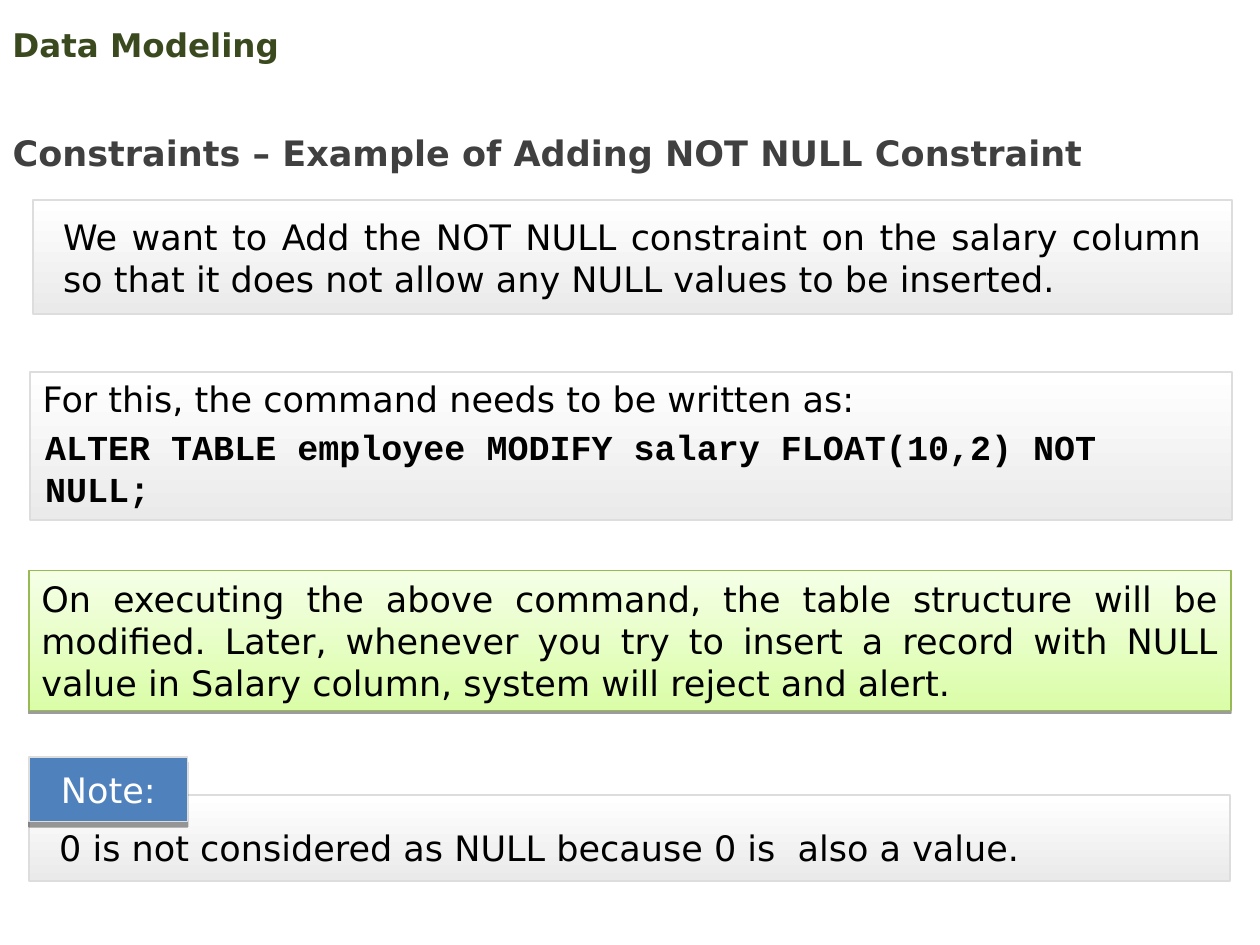
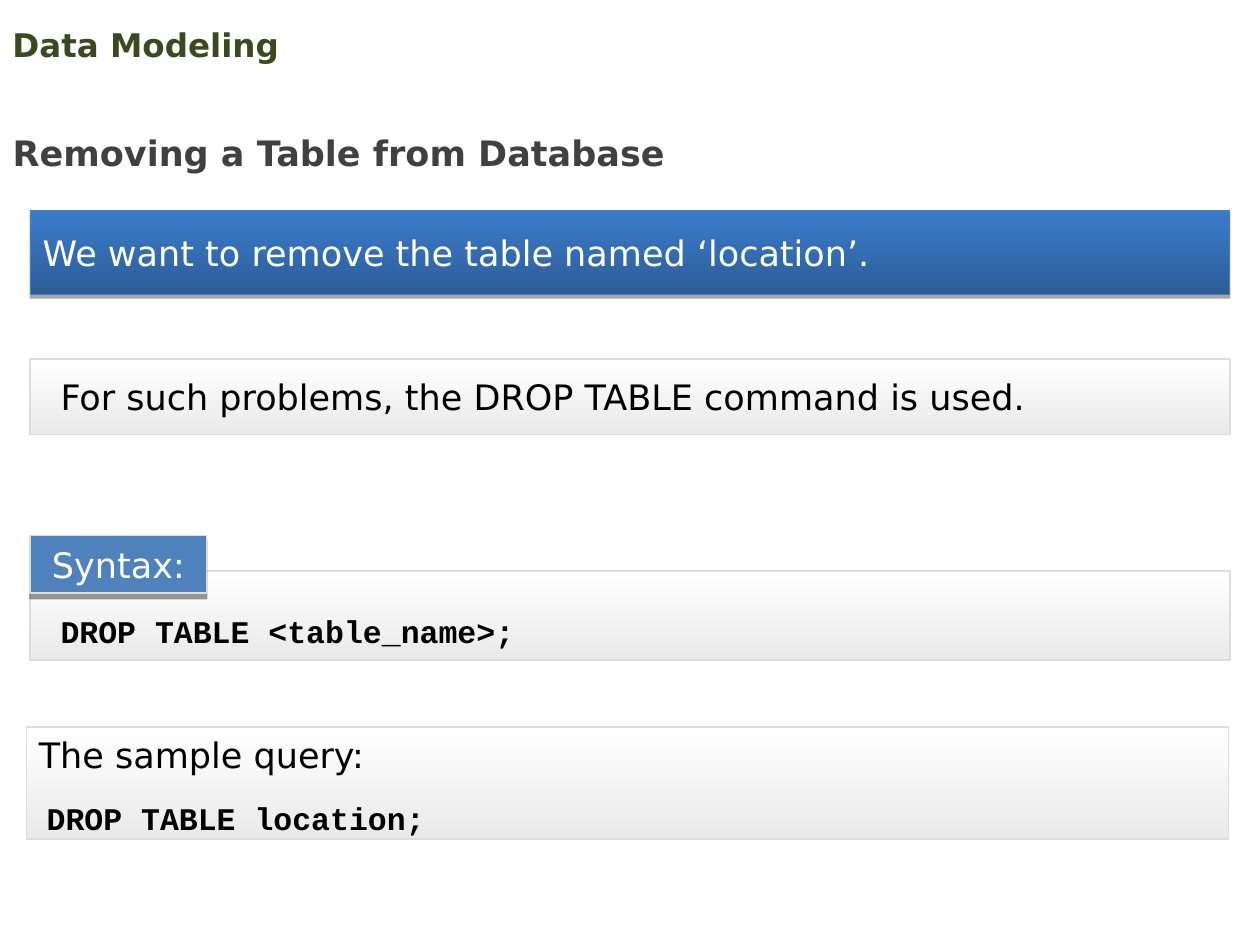
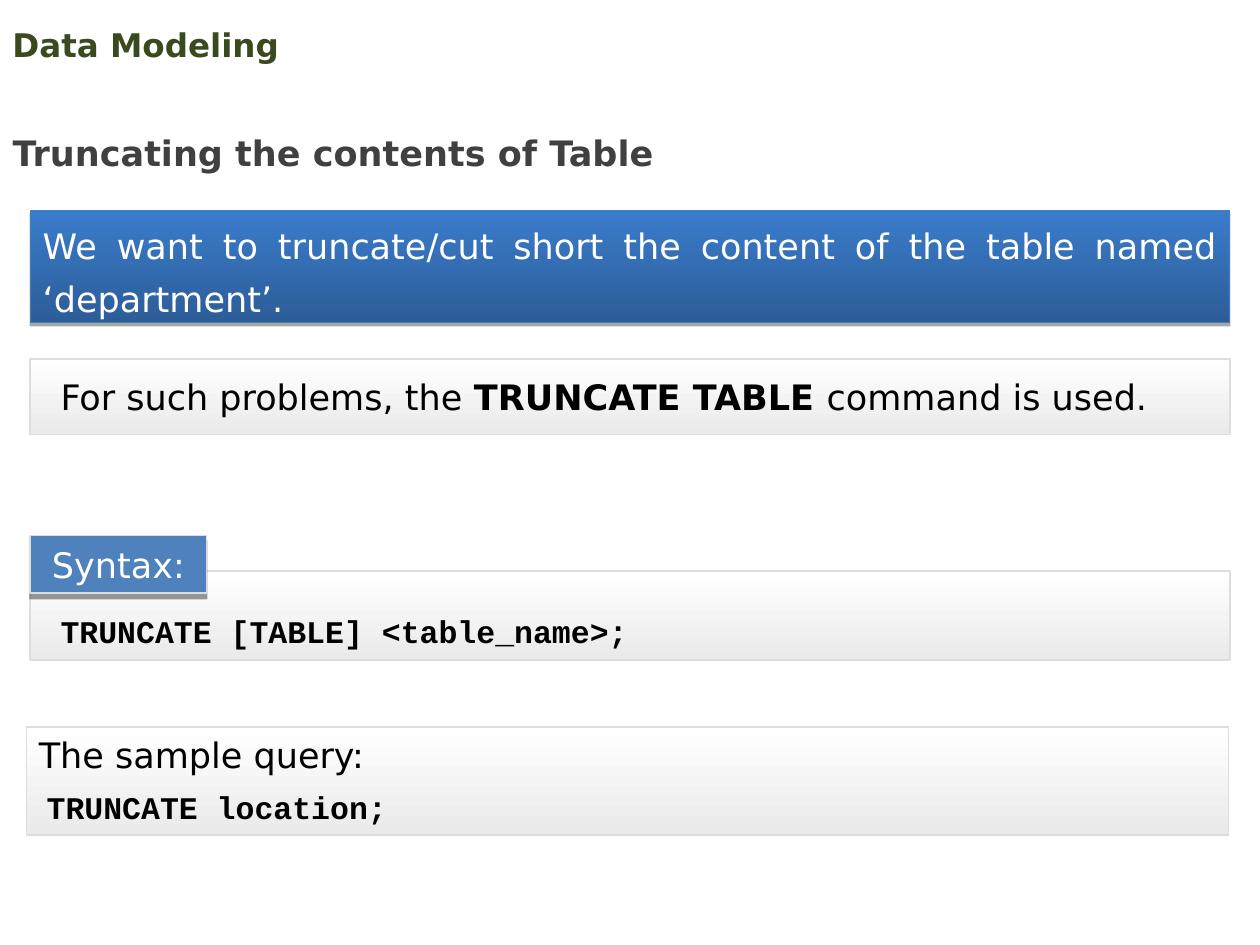
from lxml import etree
from pptx import Presentation
from pptx.dml.color import RGBColor
from pptx.enum.shapes import MSO_SHAPE
from pptx.enum.text import MSO_ANCHOR, MSO_AUTO_SIZE, PP_ALIGN
from pptx.oxml.ns import qn
from pptx.util import Inches, Pt

RECTANGLE = MSO_SHAPE.RECTANGLE
TOP, MIDDLE, BOTTOM = MSO_ANCHOR.TOP, MSO_ANCHOR.MIDDLE, MSO_ANCHOR.BOTTOM
LEFT, CENTER, JUSTIFY = PP_ALIGN.LEFT, PP_ALIGN.CENTER, PP_ALIGN.JUSTIFY
NO_AUTOFIT = MSO_AUTO_SIZE.NONE
TITLE_ONLY = 5

BODY_FONT, CODE_FONT = "DejaVu Sans", "Courier New"
BLACK, WHITE = "000000", "FFFFFF"
SECTION_GREEN, HEADING_GRAY = "3B4A1E", "404040"
GRAY_STYLE = dict(fill=(WHITE, "EAEAEA"), line="DDDDDD", line_width=1)
GREEN_STYLE = dict(fill=("F5FFE6", "DAFDA7"), line="98B954", line_width=0.75, shadow=(38, 1.6))
BLUE_STYLE = dict(fill=("3A7CCB", "2C5D98"), line="4A7EBB", line_width=0.75, shadow=(35, 1.8))
TAG_STYLE = dict(fill=("4F81BD",), line="DDDDDD", line_width=1, shadow=(40, 3))

NORMAL_INSETS = (0.1, 0.05, 0.1, 0.05)
WIDE_INSETS = (0.24, 0, 0.24, 0)
SYNTAX_FORMAT = dict(font=CODE_FONT, size=18, bold=True, insets=(0.24, 0.24, 0.24, 0))
QUERY_FORMAT = dict(size=18, insets=(0.24, 0.05, 0.24, 0.05), anchor=MIDDLE)


def color(value):
    return RGBColor.from_string(value)


def inches(box):
    return [Inches(length) for length in box]


def write(shape, text, font=BODY_FONT, size=20, ink=BLACK, bold=False, align=LEFT,
          anchor=TOP, insets=NORMAL_INSETS, spacing=None):
    frame = shape.text_frame
    frame.word_wrap = True
    frame.auto_size = NO_AUTOFIT
    frame.vertical_anchor = anchor
    frame.margin_left, frame.margin_top, frame.margin_right, frame.margin_bottom = inches(insets)
    paragraph = frame.paragraphs[0]
    paragraph.alignment = align
    if spacing:
        paragraph.line_spacing = spacing
    pieces = [(text, bold)] if isinstance(text, str) else text
    for words, is_bold in pieces:
        run = paragraph.add_run()
        run.text = words
        run.font.name = font
        run.font.size = Pt(size)
        run.font.bold = is_bold
        run.font.color.rgb = color(ink)


def add_shadow(shape, opacity, distance):
    effects = shape._element.spPr.find(qn("a:effectLst"))
    outer = etree.SubElement(effects, qn("a:outerShdw"), blurRad="0", dist=str(Pt(distance)),
                             dir="5400000", rotWithShape="0")
    shade = etree.SubElement(outer, qn("a:srgbClr"), val=BLACK)
    etree.SubElement(shade, qn("a:alpha"), val=str(opacity * 1000))


def panel(shapes, box, text, fill, line, line_width, shadow=None, **text_format):
    shape = shapes.add_shape(RECTANGLE, *inches(box))
    if len(fill) == 1:
        shape.fill.solid()
        shape.fill.fore_color.rgb = color(fill[0])
    else:
        shape.fill.gradient()
        shape.fill.gradient_angle = 270
        for stop, stop_color in zip(shape.fill.gradient_stops, fill):
            stop.color.rgb = color(stop_color)
    shape.line.color.rgb = color(line)
    shape.line.width = Pt(line_width)
    shape.shadow.inherit = False
    if shadow:
        add_shadow(shape, *shadow)
    write(shape, text, **text_format)


def label(shapes, box, text, **text_format):
    write(shapes.add_textbox(*inches(box)), text, **text_format)


def tagged_panel(slide, box, tag, tag_size, drop, text, **text_format):
    left, top, width, height = box
    shapes = slide.shapes.add_group_shape().shapes
    panel(shapes, (left, top + drop, width, height - drop), text, **GRAY_STYLE, **text_format)
    panel(shapes, (left, top, *tag_size), tag, **TAG_STYLE, ink=WHITE, align=CENTER,
          anchor=MIDDLE, insets=(0, 0, 0, 0))


def command_panel(slide, box, intro, command, command_box, **command_format):
    left, top = box[:2]
    dx, dy, width, height = command_box
    panel(slide.shapes, box, intro, **GRAY_STYLE)
    label(slide.shapes, (left + dx, top + dy, width, height), command,
          font=CODE_FONT, bold=True, **command_format)


def new_slide(deck, heading, heading_width=7.09):
    slide = deck.slides.add_slide(deck.slide_layouts[TITLE_ONLY])
    label(slide.shapes, (0, 0.14, 9, 0.43), "Data Modeling", size=18.6, ink=SECTION_GREEN,
          bold=True, anchor=MIDDLE)
    title = slide.shapes.title
    title.left, title.top, title.width, title.height = inches((0, 0.83, heading_width, 0.6))
    write(title, heading, ink=HEADING_GRAY, bold=True, spacing=1.5)
    return slide


def constraint_slide(deck):
    slide = new_slide(deck, "Constraints – Example of Adding NOT NULL Constraint", 10)
    panel(slide.shapes, (0.26, 1.59, 9.52, 0.9),
          "We want to Add the NOT NULL constraint on the salary column so that it does not "
          "allow any NULL values to be inserted.",
          **GRAY_STYLE, align=JUSTIFY, anchor=MIDDLE, insets=WIDE_INSETS)
    command_panel(slide, (0.24, 2.95, 9.54, 1.18), "For this, the command needs to be written as:",
                  "ALTER TABLE employee MODIFY salary FLOAT(10,2) NOT NULL;",
                  (0.02, 0.38, 9.03, 0.77))
    panel(slide.shapes, (0.23, 4.53, 9.54, 1.11),
          "On executing the above command, the table structure will be modified. Later, "
          "whenever you try to insert a record with NULL value in Salary column, system will "
          "reject and alert.",
          **GREEN_STYLE, align=JUSTIFY, anchor=MIDDLE, insets=(0.1, 0, 0.1, 0))
    tagged_panel(slide, (0.23, 6.01, 9.53, 0.98), "Note:", (1.26, 0.51), 0.3,
                 "0 is not considered as NULL because 0 is  also a value.",
                 align=JUSTIFY, anchor=BOTTOM, insets=(0.24, 0, 0.24, 0.1))


def statement_slide(deck, heading, goal, goal_height, answer, syntax, query, query_height,
                    goal_spacing=None):
    slide = new_slide(deck, heading)
    panel(slide.shapes, (0.24, 1.67, 9.52, goal_height), goal, **BLUE_STYLE, ink=WHITE,
          align=JUSTIFY, anchor=MIDDLE, spacing=goal_spacing)
    panel(slide.shapes, (0.24, 2.85, 9.52, 0.6), answer, **GRAY_STYLE, align=JUSTIFY,
          anchor=MIDDLE, insets=WIDE_INSETS)
    tagged_panel(slide, (0.24, 4.25, 9.52, 0.99), "Syntax:", (1.4, 0.46), 0.28, syntax,
                 anchor=MIDDLE, **SYNTAX_FORMAT)
    panel_height, code_height = query_height
    command_panel(slide, (0.21, 5.77, 9.54, panel_height), "The sample query:", query,
                  (-0.08, 0.41, 9.52, code_height), **QUERY_FORMAT)


def main():
    deck = Presentation()
    deck.slide_width, deck.slide_height = Inches(10), Inches(7.5)
    constraint_slide(deck)
    statement_slide(deck, "Removing a Table from Database",
                    "We want to remove the table named ‘location’.", 0.67,
                    "For such problems, the DROP TABLE command is used.",
                    "DROP TABLE <table_name>;", "DROP TABLE location;", (0.89, 0.62))
    statement_slide(deck, "Truncating the contents of Table",
                    "We want to truncate/cut short the content of the table named ‘department’.",
                    0.89,
                    [("For such problems, the ", False), ("TRUNCATE TABLE ", True),
                     ("command is used.", False)],
                    "TRUNCATE [TABLE] <table_name>;", "TRUNCATE location;", (0.86, 0.45),
                    goal_spacing=Pt(30))
    deck.save("out.pptx")


if __name__ == "__main__":
    main()
